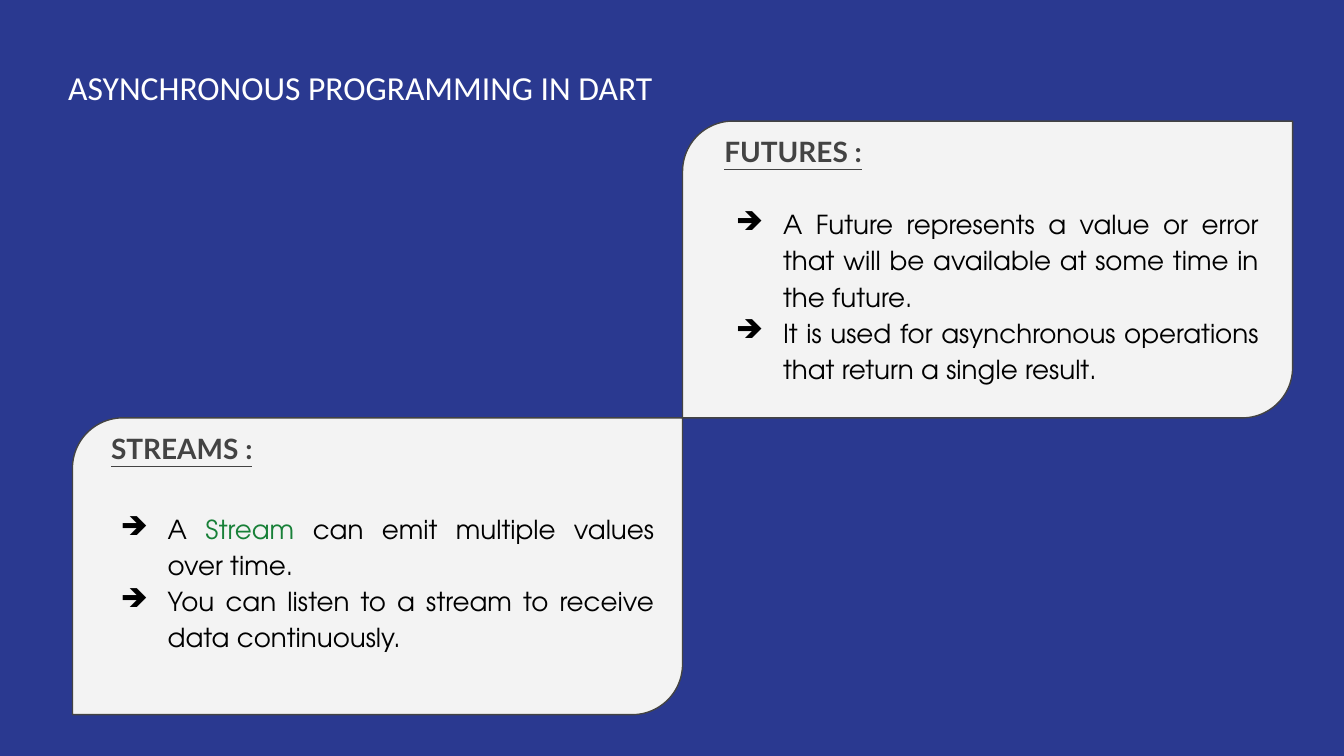
import pptx
import pptx.dml.color
import pptx.enum.shapes
import pptx.enum.text
import pptx.oxml
import pptx.oxml.ns
import pptx.util
from pptx.util import Cm

COLORS = {
    "back": "2A3990",
    "card": "F3F3F3",
    "dark": "434343",
    "white": "FFFFFF",
    "black": "000000",
    "green": "188038",
}
CARD_W, CARD_H = 11.53, 5.61
LEFT, TOP = 1.37, 2.29


def color(name):
    return pptx.dml.color.RGBColor.from_string(COLORS[name])


def style(run, font, size, tint, strong=False):
    run.font.name = font
    run.font.size = pptx.util.Pt(size)
    run.font.color.rgb = color(tint)
    if strong:
        run.font.bold = True
        run.font.underline = True


def add_box(slide, x, y, w, h):
    box = slide.shapes.add_textbox(Cm(x), Cm(y), Cm(w), Cm(h))
    frame = box.text_frame
    frame.word_wrap = True
    frame.margin_left = frame.margin_right = Cm(0.25)
    frame.margin_top = frame.margin_bottom = Cm(0.25)
    return frame


def add_label(slide, text, place, font, size, tint, strong=False):
    frame = add_box(slide, *place)
    frame.text = text
    style(frame.paragraphs[0].runs[0], font, size, tint, strong)


def add_card(slide, x, y):
    kind = pptx.enum.shapes.MSO_SHAPE.ROUND_2_DIAG_RECTANGLE
    card = slide.shapes.add_shape(kind, Cm(x), Cm(y), Cm(CARD_W), Cm(CARD_H))
    card.adjustments[0] = 0.17
    card.adjustments[1] = 0
    card.shadow.inherit = False
    card.fill.solid()
    card.fill.fore_color.rgb = color("card")
    card.line.color.rgb = color("dark")
    card.line.width = pptx.util.Pt(0.75)


def add_arrow(para):
    props = para._p.get_or_add_pPr()
    props.set("marL", str(Cm(1.27)))
    props.set("indent", str(-Cm(0.89)))
    space = pptx.oxml.ns.nsdecls("a")
    for xml in (
        f'<a:buClr {space}><a:srgbClr val="{COLORS["black"]}"/></a:buClr>',
        f'<a:buChar {space} char="➔"/>',
    ):
        props.append(pptx.oxml.parse_xml(xml))


def add_points(slide, points, place):
    frame = add_box(slide, *place)
    for index, parts in enumerate(points):
        para = frame.add_paragraph() if index else frame.paragraphs[0]
        para.alignment = pptx.enum.text.PP_ALIGN.JUSTIFY
        para.line_spacing = 1.15
        add_arrow(para)
        for text, tint in parts:
            run = para.add_run()
            run.text = text
            style(run, "TeX Gyre Adventor", 14, tint)


def main():
    deck = pptx.Presentation()
    deck.slide_width, deck.slide_height = Cm(25.4), Cm(14.29)
    slide = deck.slides.add_slide(deck.slide_layouts[6])
    slide.background.fill.solid()
    slide.background.fill.fore_color.rgb = color("back")

    add_label(slide, "ASYNCHRONOUS PROGRAMMING IN DART",
              (1.04, 1.02, 13.08, 1.27), "Calibri", 18, "white")
    add_card(slide, LEFT, TOP + CARD_H)
    add_card(slide, LEFT + CARD_W, TOP)

    futures = [
        [("A Future represents a value or error that will be available "
          "at some time in the future.", "black")],
        [("It is used for asynchronous operations that return "
          "a single result.", "black")],
    ]
    streams = [
        [("A ", "black"), ("Stream", "green"),
         (" can emit multiple values over time.", "black")],
        [("You can listen to a stream to receive data continuously.",
          "black")],
    ]
    topics = [
        ("FUTURES :", (13.44, TOP, 3.84, 1.14),
         futures, (13.28, 3.61, 10.77, 3.86)),
        ("STREAMS :", (1.85, TOP + CARD_H, 3.48, 1.14),
         streams, (1.65, 9.37, 10.97, 3.18)),
    ]
    for head, spot, points, place in topics:
        add_label(slide, head, spot, "Lato", 15, "dark", strong=True)
        add_points(slide, points, place)

    deck.save("out.pptx")


if __name__ == "__main__":
    main()
